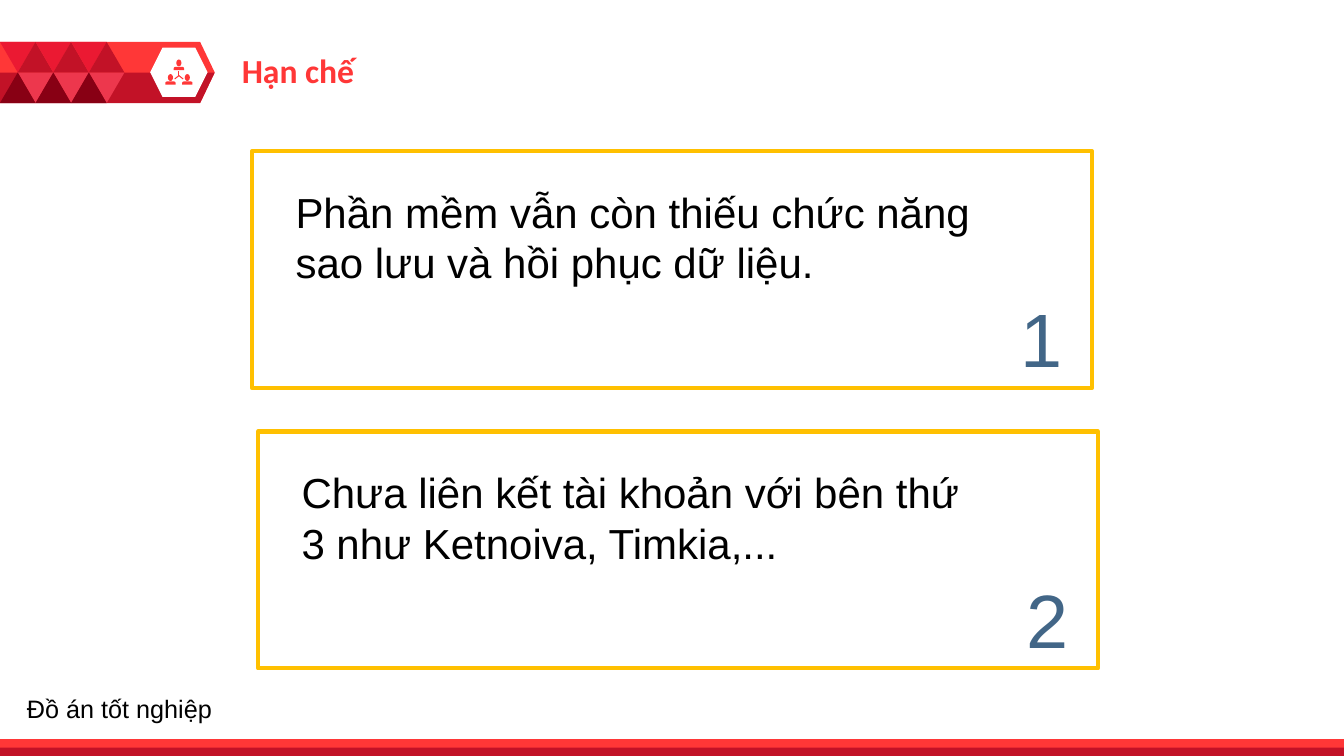
from pptx import Presentation
from pptx.dml.color import RGBColor
from pptx.enum.shapes import MSO_CONNECTOR, MSO_SHAPE
from pptx.enum.text import PP_ALIGN
from pptx.oxml.ns import qn
from pptx.util import Pt
from lxml import etree

RECTANGLE = MSO_SHAPE.RECTANGLE
TRIANGLE = MSO_SHAPE.ISOSCELES_TRIANGLE
ARROW_PLATE = MSO_SHAPE.PENTAGON
HEXAGON = MSO_SHAPE.HEXAGON
OVAL = MSO_SHAPE.OVAL
SHOULDERS = MSO_SHAPE.ROUND_2_SAME_RECTANGLE
STRAIGHT = MSO_CONNECTOR.STRAIGHT
LEFT, RIGHT = PP_ALIGN.LEFT, PP_ALIGN.RIGHT

WHITE = RGBColor(0xFF, 0xFF, 0xFF)
BLACK = RGBColor(0, 0, 0)
RED = RGBColor(0xFF, 0x37, 0x37)
DARK_RED = RGBColor(0xC2, 0x12, 0x27)
CRIMSON = RGBColor(0xEB, 0x19, 0x32)
ROSE = RGBColor(0xED, 0x37, 0x4D)
MAROON = RGBColor(0x88, 0x00, 0x14)
GOLD = RGBColor(0xFF, 0xC0, 0x00)
SLATE = RGBColor(0x42, 0x66, 0x87)

SLIDE_WIDTH, SLIDE_HEIGHT = 960, 540
LIMITATIONS = [
    (180, 108, "Phần mềm vẫn còn thiếu chức năng sao lưu và hồi phục dữ liệu."),
    (184.3, 308.2, "Chưa liên kết tài khoản với bên thứ 3 như Ketnoiva, Timkia,..."),
]


def add_filled(slide, kind, left, top, width, height, color, rotation=0):
    """Add a preset shape with a solid fill and no outline."""
    shape = slide.shapes.add_shape(kind, Pt(left), Pt(top), Pt(width), Pt(height))
    shape.shadow.inherit = False
    shape.fill.solid()
    shape.fill.fore_color.rgb = color
    shape.line.fill.background()
    shape.rotation = rotation
    return shape


def add_text(slide, left, top, width, height, text, size, color,
             font="Arial", bold=False, alignment=LEFT):
    """Add a wrapping text box with one paragraph."""
    box = slide.shapes.add_textbox(Pt(left), Pt(top), Pt(width), Pt(height))
    box.text_frame.word_wrap = True
    paragraph = box.text_frame.paragraphs[0]
    paragraph.text = text
    paragraph.alignment = alignment
    paragraph.font.name = font
    paragraph.font.size = Pt(size)
    paragraph.font.bold = bold
    paragraph.font.color.rgb = color


def add_person(slide, left, top, width, height):
    """Draw a small figure: a head over rounded shoulders."""
    add_filled(slide, OVAL, left + width * 0.25, top, width * 0.5, height * 0.65, RED)
    body = add_filled(slide, SHOULDERS, left, top + height * 0.7,
                      width, height * 0.3, RED)
    body.adjustments[0] = 0.5


def add_team_icon(slide, left, top, width, height):
    """Draw three linked figures inside the given box."""
    center_x, center_y = left + width / 2, top + height * 0.64
    for x, y in [(0, -3), (-3, 2.4), (3, 2.4)]:
        spoke = slide.shapes.add_connector(
            STRAIGHT, Pt(center_x), Pt(center_y), Pt(center_x + x), Pt(center_y + y))
        spoke.line.color.rgb = RED
        spoke.line.width = Pt(0.75)
        etree.SubElement(spoke._element.spPr, qn("a:effectLst"))
    person_width, person_height = width * 0.38, height * 0.42
    bottom = top + height - person_height
    for x, y in [(center_x - person_width / 2, top), (left, bottom),
                 (left + width - person_width, bottom)]:
        add_person(slide, x, y, person_width, person_height)


def add_banner(slide, left, top, width, height):
    """Draw the arrow banner with its triangle pattern and icon."""
    half = height / 2
    middle = top + half
    plate = add_filled(slide, ARROW_PLATE, left, top, width, height, RED)
    plate.adjustments[0] = 0.239
    builder = slide.shapes.build_freeform(Pt(left), Pt(middle), scale=1.0)
    builder.add_line_segments([
        (Pt(left + width), Pt(middle)),
        (Pt(left + width - height * 0.239), Pt(top + height)),
        (Pt(left), Pt(top + height))])
    lower_half = builder.convert_to_shape()
    lower_half.shadow.inherit = False
    lower_half.fill.solid()
    lower_half.fill.fore_color.rgb = DARK_RED
    lower_half.line.fill.background()

    add_filled(slide, HEXAGON, left + 107.3, top + 4, 41, 35.3, WHITE)
    add_team_icon(slide, left + 118.1, top + 12.5, 19.4, 18)

    side = 25.4
    for column in range(3):
        x = left + column * side
        for shift, y, color, rotation in [
                (0, top, CRIMSON, 180), (side / 2, top, DARK_RED, 0),
                (side / 2, middle, ROSE, 180), (0, middle, MAROON, 0)]:
            add_filled(slide, TRIANGLE, x + shift, y, side, half, color, rotation)


def add_footer(slide, left, top, width, height):
    """Draw the footer text and the two-tone bar below it."""
    add_text(slide, left + 12.2, top, 204, 28.8, "Đồ án tốt nghiệp", 18, BLACK)
    bottom = top + height
    add_filled(slide, RECTANGLE, left, bottom - 12, width, 12, RED)
    add_filled(slide, RECTANGLE, left, bottom - 6, width, 6, DARK_RED)


def add_card(slide, left, top, width, height, number, text):
    """Draw a gold frame with a statement and its number."""
    frame = add_filled(slide, RECTANGLE, left, top, width, height, WHITE)
    frame.fill.background()
    frame.line.color.rgb = GOLD
    frame.line.width = Pt(3)
    add_text(slide, left + 24, top + 21.6, 498.2, 80, text, 30, BLACK)
    add_text(slide, left + width - 132, top + 97.2, 118, 72.7, str(number), 54,
             SLATE, alignment=RIGHT)


def main():
    """Build the slide and save it."""
    presentation = Presentation()
    presentation.slide_width = Pt(SLIDE_WIDTH)
    presentation.slide_height = Pt(SLIDE_HEIGHT)
    slide = presentation.slides.add_slide(presentation.slide_layouts[6])
    add_banner(slide, 0, 30, 153.4, 43.6)
    add_footer(slide, 0, 491.8, SLIDE_WIDTH, SLIDE_HEIGHT - 491.8)
    add_text(slide, 165.6, 32.4, 303.8, 36, "Hạn chế", 24, RED, "Calibri", True)
    for number, (left, top, text) in enumerate(LIMITATIONS, 1):
        add_card(slide, left, top, 600, 169.2, number, text)
    presentation.save("out.pptx")


if __name__ == "__main__":
    main()
